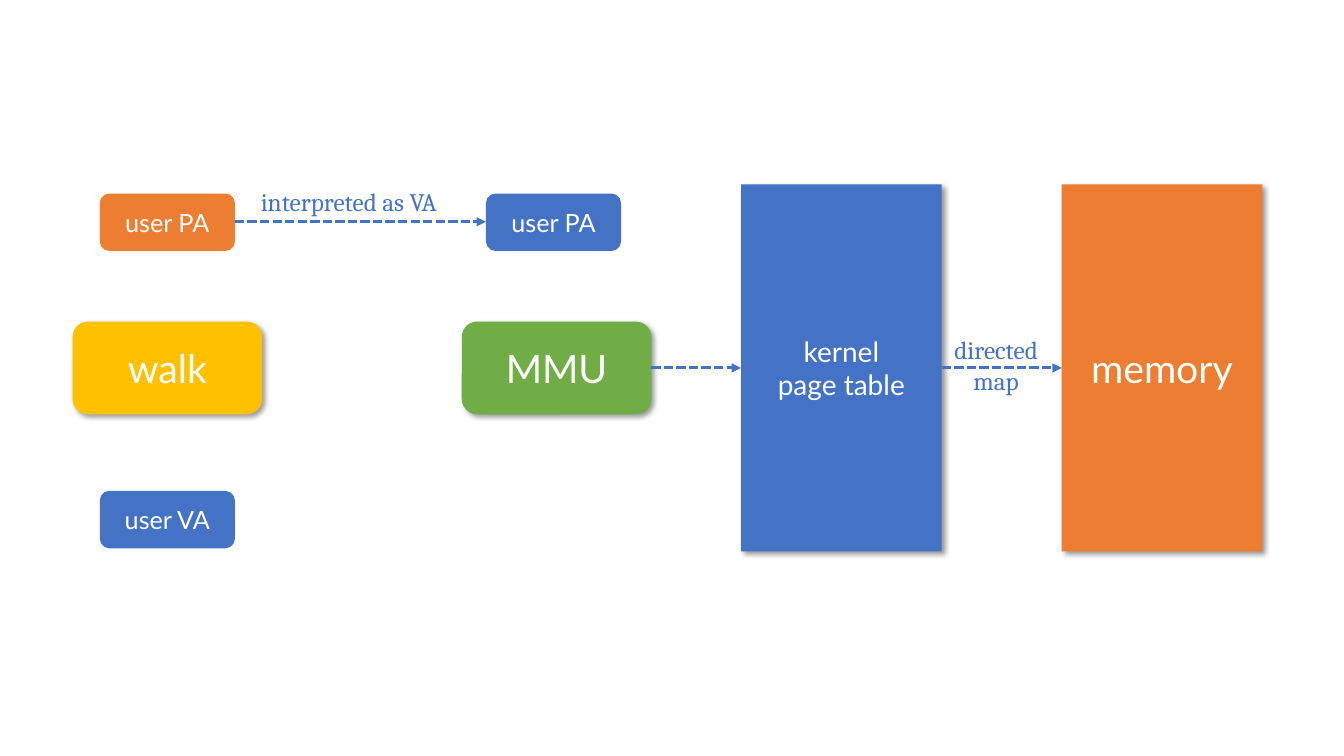
from lxml.etree import SubElement
from pptx import Presentation
from pptx.dml.color import RGBColor
from pptx.enum.dml import MSO_LINE_DASH_STYLE as Dash
from pptx.enum.shapes import MSO_CONNECTOR as Connector, MSO_SHAPE as Shape
from pptx.enum.text import MSO_ANCHOR as Anchor, PP_ALIGN as Align
from pptx.oxml.ns import qn
from pptx.util import Inches, Pt

BLUE, ORANGE, YELLOW, GREEN, WHITE = "4472C4", "ED7D31", "FFC000", "70AD47", "FFFFFF"


def rgb(value):
    """Turn a hex string into a colour."""
    return RGBColor.from_string(value)


def write(frame, text, *, size, color, font, anchor=Anchor.MIDDLE):
    """Fill a text frame with centred paragraphs, one per line of text."""
    frame.word_wrap = True
    frame.vertical_anchor = anchor
    frame.text = text
    for paragraph in frame.paragraphs:
        paragraph.alignment = Align.CENTER
        paragraph.font.size = Pt(size)
        paragraph.font.name = font
        paragraph.font.color.rgb = rgb(color)


class Diagram:
    """Hold the diagram's style and the slide it is drawn on."""

    box_font, label_font = "Lato", "Cambria"

    def __init__(self, slide):
        """Keep the slide to draw on."""
        self.slide = slide

    def box(self, text, left, top, width, height, fill, size, *, kind=Shape.ROUNDED_RECTANGLE, shadow=True):
        """Draw a filled box with white text."""
        box = self.slide.shapes.add_shape(kind, Inches(left), Inches(top), Inches(width), Inches(height))
        box.fill.solid()
        box.fill.fore_color.rgb = rgb(fill)
        box.line.fill.background()
        box.shadow.inherit = False
        if shadow:
            self.cast_shadow(box)
        write(box.text_frame, text, size=size, color=WHITE, font=self.box_font)

    def cast_shadow(self, box):
        """Give a box a soft shadow to the lower right."""
        effects = box.fill._xPr.find(qn("a:effectLst"))
        outer = SubElement(effects, qn("a:outerShdw"), blurRad=str(Pt(4)), dist=str(Pt(3)),
                           dir=str(45 * 60000), algn="tl", rotWithShape="0")
        black = SubElement(outer, qn("a:srgbClr"), val="000000")
        SubElement(black, qn("a:alpha"), val="40000")

    def address(self, text, left, top, fill):
        """Draw a small address box."""
        self.box(text, left, top, 1.34, 0.57, fill, 18, shadow=False)

    def stage(self, text, left, fill):
        """Draw a translation step on the middle row."""
        self.box(text, left, 3.19, 1.88, 0.92, fill, 28)

    def store(self, text, left, fill, size):
        """Draw a tall block."""
        self.box(text, left, 1.83, 1.99, 3.64, fill, size, kind=Shape.RECTANGLE)

    def arrow(self, start, end, y):
        """Draw a dashed horizontal arrow."""
        arrow = self.slide.shapes.add_connector(Connector.STRAIGHT, Inches(start), Inches(y), Inches(end), Inches(y))
        arrow.line.color.rgb = rgb(BLUE)
        arrow.line.width = Pt(2.25)
        arrow.line.dash_style = Dash.SQUARE_DOT
        SubElement(arrow.line._get_or_add_ln(), qn("a:tailEnd"), type="triangle")
        SubElement(arrow._element.spPr, qn("a:effectLst"))

    def label(self, text, left, top, width, height, right_inset):
        """Write a label beside an arrow."""
        label = self.slide.shapes.add_textbox(Inches(left), Inches(top), Inches(width), Inches(height))
        label.text_frame.margin_left = 0
        label.text_frame.margin_right = Inches(right_inset)
        write(label.text_frame, text, size=18, color=BLUE, font=self.label_font, anchor=Anchor.TOP)


deck = Presentation()
deck.slide_width, deck.slide_height = Inches(13.33), Inches(7.5)
diagram = Diagram(deck.slides.add_slide(deck.slide_layouts[6]))

walk_address, mmu_address = 0.99, 4.82
address_row, middle_row = 1.92, 3.65

diagram.address("user PA", mmu_address, address_row, BLUE)
diagram.address("user VA", walk_address, 4.87, BLUE)
diagram.address("user PA", walk_address, address_row, ORANGE)
diagram.stage("walk", 0.72, YELLOW)
diagram.stage("MMU", 4.58, GREEN)
diagram.store("kernel\npage table", 7.35, BLUE, 20)
diagram.store("memory", 10.53, ORANGE, 28)

for start, end, y in [(2.33, mmu_address, 2.2), (6.46, 7.35, middle_row), (9.34, 10.53, middle_row)]:
    diagram.arrow(start, end, y)

diagram.label("interpreted as VA", 2.49, 1.8, 2.16, 0.4, 0.22)
diagram.label("directed\nmap", 9.37, 3.27, 1.16, 0.71, 0.14)

deck.save("out.pptx")
